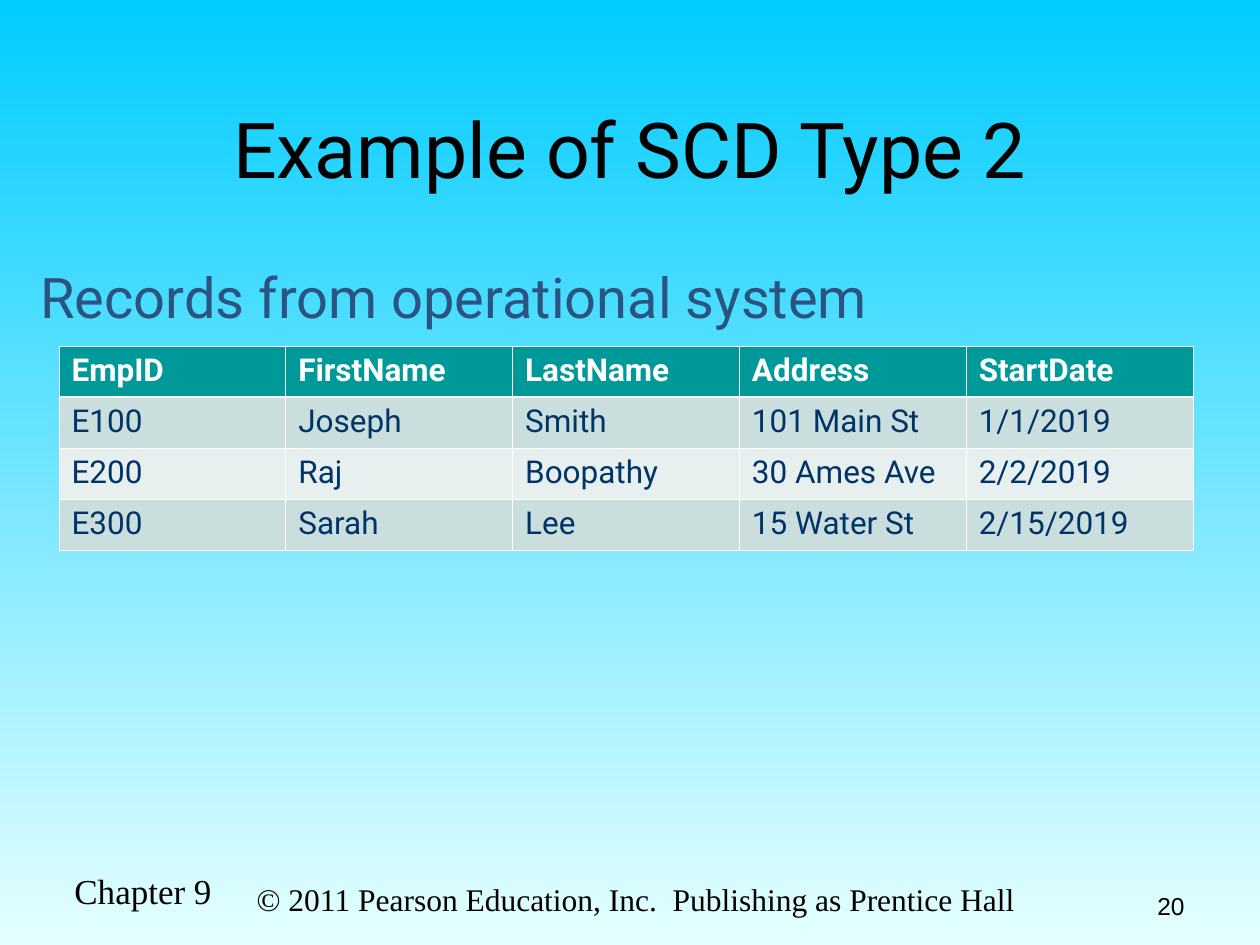
from lxml.etree import SubElement
from pptx import Presentation
from pptx.dml.color import RGBColor
from pptx.enum.text import MSO_ANCHOR as Anchor, MSO_AUTO_SIZE as AutoSize, PP_ALIGN as Align
from pptx.oxml.ns import qn
from pptx.util import Emu, Pt

PX_PER_INCH = 126
FONT = "Roboto"
SERIF = "Times New Roman"
THIN, THICK = 0.45, 1.47

RECORDS = [
    ["EmpID", "FirstName", "LastName", "Address", "StartDate"],
    ["E100", "Joseph", "Smith", "101 Main St", "1/1/2019"],
    ["E200", "Raj", "Boopathy", "30 Ames Ave", "2/2/2019"],
    ["E300", "Sarah", "Lee", "15 Water St", "2/15/2019"],
]


def px(length):
    return Emu(round(length * 914400 / PX_PER_INCH))


def color(hex_value):
    return RGBColor.from_string(hex_value)


def write(frame, text, size, font, ink="000000", align=Align.LEFT, bold=False):
    paragraph = frame.paragraphs[0]
    paragraph.alignment = align
    run = paragraph.add_run()
    run.text = text
    run.font.size = Pt(size)
    run.font.name = font
    run.font.bold = bold
    run.font.color.rgb = color(ink)


def add_label(slide, box, text, size, font, ink="000000", align=Align.LEFT,
              anchor=Anchor.TOP, wrap=True):
    frame = slide.shapes.add_textbox(*map(px, box)).text_frame
    frame.word_wrap = wrap
    frame.auto_size = AutoSize.NONE if wrap else AutoSize.SHAPE_TO_FIT_TEXT
    frame.vertical_anchor = anchor
    write(frame, text, size, font, ink, align)


def paint_background(slide):
    fill = slide.background.fill
    fill.gradient()
    fill.gradient_angle = 270
    for stop, shade in zip(fill.gradient_stops, ("00CCFF", "E5FFFF")):
        stop.color.rgb = color(shade)


def place_title(slide, box, text):
    title = slide.shapes.title
    title.left, title.top, title.width, title.height = map(px, box)
    frame = title.text_frame
    frame.margin_left = frame.margin_right = frame.margin_top = frame.margin_bottom = 0
    frame.vertical_anchor = Anchor.MIDDLE
    frame.auto_size = AutoSize.NONE
    write(frame, text, 44, FONT, align=Align.CENTER)


def set_borders(cell, widths):
    """Draw white borders; widths maps the sides L, R, T, B, in that order, to points."""
    properties = cell._tc.get_or_add_tcPr()
    for side, width in widths.items():
        line = SubElement(properties, qn(f"a:ln{side}"), w=str(Pt(width)))
        SubElement(SubElement(line, qn("a:solidFill")), qn("a:srgbClr"), val="FFFFFF")


def add_records(slide, box, records):
    table = slide.shapes.add_table(len(records), len(records[0]), *map(px, box)).table
    for r, record in enumerate(records):
        header = r == 0
        shade = "009999" if header else ("E7EFEF", "CBDEDE")[r % 2]
        for c, value in enumerate(record):
            cell = table.cell(r, c)
            set_borders(cell, {"L": THIN, "R": THIN,
                               "T": THICK if r == 1 else THIN,
                               "B": THICK if header else THIN})
            cell.fill.solid()
            cell.fill.fore_color.rgb = color(shade)
            write(cell.text_frame, value, 18, FONT,
                  "FFFFFF" if header else "003366", bold=header)


def add_footer(slide, left, top):
    add_label(slide, (left, top + 5, 163, 55), "Chapter 9", 20, SERIF, wrap=False)
    add_label(slide, (left + 180, top, 788, 66),
              "© 2011 Pearson Education, Inc.  Publishing as Prentice Hall",
              18, SERIF, align=Align.CENTER, anchor=Anchor.BOTTOM)
    add_label(slide, (left + 841, top + 3, 294, 66), "20", 14, "Arial",
              align=Align.RIGHT, anchor=Anchor.BOTTOM)


def main():
    deck = Presentation()
    deck.slide_width, deck.slide_height = px(1260), px(945)
    slide = deck.slides.add_slide(deck.slide_layouts[5])
    paint_background(slide)
    add_footer(slide, 62, 858)
    place_title(slide, (63, 53, 1134, 189), "Example of SCD Type 2")
    add_records(slide, (59, 346, 1134, 204), RECORDS)
    add_label(slide, (28, 256, 900, 81), "Records from operational system",
              32, FONT, "2B5481", wrap=False)
    deck.save("out.pptx")


if __name__ == "__main__":
    main()
